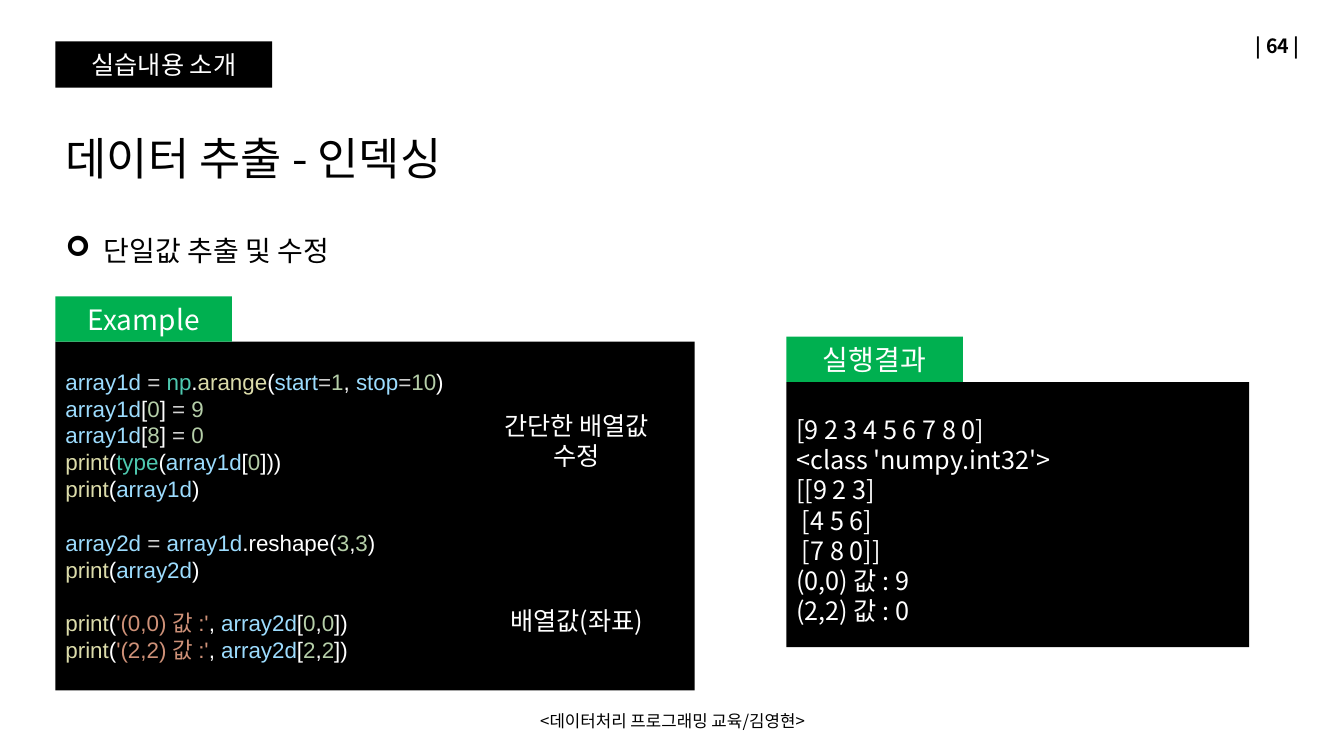
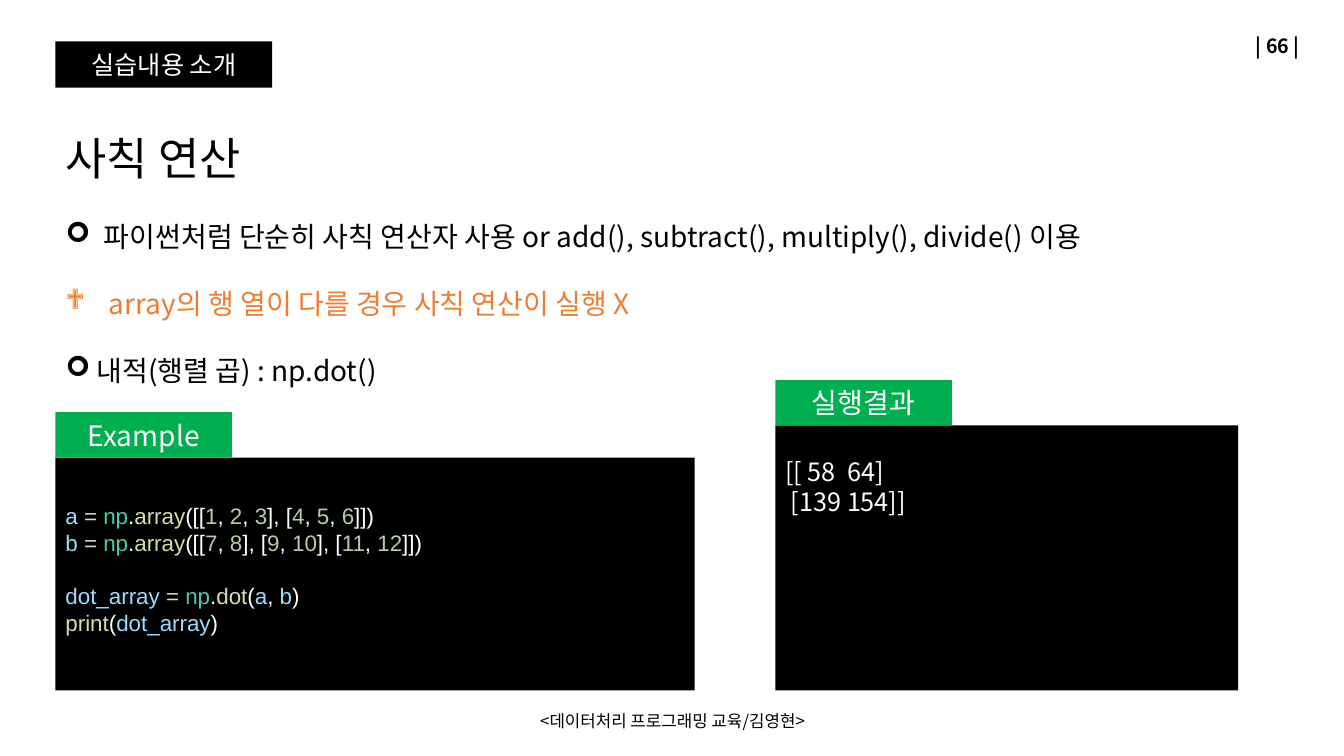
from dataclasses import dataclass
from itertools import groupby

from lxml import etree
from pptx import Presentation, util as u
from pptx.dml.color import RGBColor
from pptx.enum import shapes, text
from pptx.oxml.ns import qn


@dataclass(frozen=True)
class Theme:
    font: str = "Noto Sans CJK KR"
    code_font: str = "Arial"
    ink: str = "000000"
    paper: str = "FFFFFF"
    label: str = "00B050"
    warning: str = "ED7D31"
    variable: str = "9CDCFE"
    function: str = "DCDCAA"
    type: str = "4EC9B0"
    number: str = "B5CEA8"
    string: str = "CE9178"
    operator: str = "D4D4D4"
    title_size: int = 32
    body_size: int = 20
    tab_size: int = 18
    code_size: int = 16
    page_size: int = 14
    footer_size: int = 12


theme = Theme()
LEFT, MIDDLE, RIGHT = text.PP_ALIGN.LEFT, text.PP_ALIGN.CENTER, text.PP_ALIGN.RIGHT
TOP, CENTER, BOTTOM = text.MSO_ANCHOR.TOP, text.MSO_ANCHOR.MIDDLE, text.MSO_ANCHOR.BOTTOM

# Horizontal and vertical places are percentages of the slide's width and height.
MARGIN = 4.13
LABEL_WIDTH, LABEL_HEIGHT = 13.13, 6
CODE_WIDTH, CODE_BOTTOM = 47.56, 91.33
RESULT_WIDTH, RESULT_HEIGHT = 34.43, 35.07

token_colors = {
    **dict.fromkeys(["array1d", "array2d", "dot_array", "a", "b", "start", "stop"], theme.variable),
    **dict.fromkeys(["print", "arange", "array", "dot"], theme.function),
    **dict.fromkeys(["np", "type"], theme.type),
    "=": theme.operator,
}

lessons = [
    {
        "page": "| 64 |",
        "title": "데이터 추출 - 인덱싱",
        "points": [("➢", 0.38, "단일값 추출 및 수정", theme.ink)],
        "points_box": (MARGIN, 25.73, 64.89, 9.07),
        "code_top": 45.2,
        "code_box": (MARGIN, 48, 44.86, 40.8),
        "code": """array1d = np.arange(start=1, stop=10)
array1d[0] = 9
array1d[8] = 0
print(type(array1d[0]))
print(array1d)

array2d = array1d.reshape(3,3)
print(array2d)

print('(0,0) 값 :', array2d[0,0])
print('(2,2) 값 :', array2d[2,2])""",
        "result_at": (58.51, 50.53),
        "result_box": (58.51, 54.13, 35.33, 29.6),
        "result": """[9 2 3 4 5 6 7 8 0]
<class 'numpy.int32'>
[[9 2 3]
 [4 5 6]
 [7 8 0]]
(0,0) 값 : 9
(2,2) 값 : 0""",
        "remarks": [("간단한 배열값 수정", 53.6, 9.47), ("배열값(좌표)", 79.47, 5.33)],
    },
    {
        "page": "| 66 |",
        "title": "사칙 연산",
        "points": [
            ("➢", 0.38, "파이썬처럼 단순히 사칙 연산자 사용 or add(), subtract(), multiply(), divide() 이용",
             theme.ink),
            ("❖", 0.43, "array의 행 열이 다를 경우 사칙 연산이 실행 X", theme.warning),
            ("➢", 0.31, "내적(행렬 곱) : np.dot()", theme.ink),
        ],
        "points_box": (MARGIN, 23.87, 82.6, 27.07),
        "code_top": 60.53,
        "code_box": (MARGIN, 65.73, 44.86, 19.33),
        "code": """a = np.array([[1, 2, 3], [4, 5, 6]])
b = np.array([[7, 8], [9, 10], [11, 12]])

dot_array = np.dot(a, b)
print(dot_array)""",
        "result_at": (57.69, 56.27),
        "result_box": (57.69, 59.73, 31.73, 9.47),
        "result": """[[ 58  64]
 [139 154]]""",
        "remarks": [],
    },
]

deck = Presentation()
deck.slide_width, deck.slide_height = u.Inches(13.33), u.Inches(7.5)


def place(left, top, width, height):
    """Turn percentages of the slide into lengths."""
    return [int(share * side / 100) for share, side in
            zip((left, top, width, height), (deck.slide_width, deck.slide_height) * 2)]


def write(shape, lines, size, color, align=LEFT, anchor=TOP, leading=None, face=theme.font):
    """Fill a shape with paragraphs; a line is a string or a list of (piece, colour)."""
    frame = shape.text_frame
    frame.word_wrap, frame.auto_size = True, text.MSO_AUTO_SIZE.NONE
    frame.vertical_anchor = anchor
    for index, line in enumerate(lines):
        paragraph = frame.paragraphs[0] if index == 0 else frame.add_paragraph()
        paragraph.alignment, paragraph.space_before = align, u.Pt(0)
        if leading:
            paragraph.line_spacing = u.Pt(leading)
        for piece, tint in [(line, color)] if isinstance(line, str) else line:
            run = paragraph.add_run()
            run.text = piece
            run.font.size, run.font.name = u.Pt(size), face
            run.font.color.rgb = RGBColor.from_string(tint)
            etree.SubElement(run.font._element, qn("a:ea"), typeface=theme.font)
    return frame


for lesson in lessons:
    slide = deck.slides.add_slide(deck.slide_layouts[1])
    title, points = slide.placeholders
    result_left, result_top = lesson["result_at"]
    code_top = lesson["code_top"]

    # Page number, section tab and footer
    page = slide.shapes.add_textbox(*place(74.94, 3.33, 22.5, 5.33))
    page_frame = write(page, [lesson["page"]], theme.page_size, theme.ink, RIGHT, CENTER)
    page_frame.paragraphs[0].runs[0].font.bold = True
    footer = slide.shapes.add_textbox(*place(33.16, 92.67, 33.76, 5.33))
    write(footer, ["<데이터처리 프로그래밍 교육/김영현>"], theme.footer_size, theme.ink, MIDDLE, CENTER)

    # Title and list
    title.left, title.top, title.width, title.height = place(MARGIN, 14.93, 72.99, 9.47)
    title_frame = write(title, [lesson["title"]], theme.title_size, theme.ink,
                        anchor=BOTTOM, leading=1.2 * theme.title_size)
    title_frame.margin_bottom = 0
    points.left, points.top, points.width, points.height = place(*lesson["points_box"])
    points_frame = write(points, [[(point, tint)] for _, _, point, tint in lesson["points"]],
                         theme.body_size, theme.ink, leading=2.4 * theme.body_size)
    for paragraph, (mark, indent, _, _) in zip(points_frame.paragraphs, lesson["points"]):
        properties = paragraph._p.get_or_add_pPr()
        properties.set("marL", str(u.Inches(indent)))
        properties.set("indent", str(-u.Inches(indent)))
        etree.SubElement(properties, qn("a:buFont"), typeface="Wingdings")
        etree.SubElement(properties, qn("a:buChar"), char=mark)

    # Section tab, panels and their labels
    for box, fill, caption, size in [
        ((MARGIN, 5.47, 16.13, 6.13), theme.ink, "실습내용 소개", theme.tab_size),
        ((MARGIN, code_top, CODE_WIDTH, CODE_BOTTOM - code_top), theme.ink, None, None),
        ((result_left, result_top, RESULT_WIDTH, RESULT_HEIGHT), theme.ink, None, None),
        ((MARGIN, code_top - LABEL_HEIGHT, LABEL_WIDTH, LABEL_HEIGHT),
         theme.label, "Example", theme.body_size),
        ((result_left, result_top - LABEL_HEIGHT, LABEL_WIDTH, LABEL_HEIGHT),
         theme.label, "실행결과", theme.body_size),
    ]:
        block = slide.shapes.add_shape(shapes.MSO_SHAPE.RECTANGLE, *place(*box))
        block.shadow.inherit = False
        block.fill.solid()
        block.fill.fore_color.rgb = RGBColor.from_string(fill)
        block.line.fill.background()
        if caption:
            write(block, [caption], size, theme.paper, MIDDLE, CENTER)

    # Coloured code: quoted parts first, then words, equal signs and punctuation
    code_lines, gaps = [], []
    for line in lesson["code"].split("\n"):
        if not line:
            gaps.append(len(code_lines))
            continue
        pieces = []
        for index, part in enumerate(line.split("'")):
            if index % 2:
                pieces.append((f"'{part}'", theme.string))
                continue
            for _, chars in groupby(part, lambda c: "word" if c.isalnum() or c == "_" else c == "="):
                token = "".join(chars)
                fallback = theme.number if token.isdigit() else theme.paper
                pieces.append((token, token_colors.get(token, fallback)))
        code_lines.append(pieces)
    code_leading = 1.2 * theme.code_size
    code = slide.shapes.add_textbox(*place(*lesson["code_box"]))
    code_frame = write(code, code_lines, theme.code_size, theme.paper,
                       leading=code_leading, face=theme.code_font)
    for index in gaps:
        code_frame.paragraphs[index].space_before = u.Pt(code_leading)

    # Output and remarks
    result = slide.shapes.add_textbox(*place(*lesson["result_box"]))
    write(result, lesson["result"].split("\n"), theme.tab_size, theme.paper,
          leading=1.2 * theme.tab_size)
    for remark, top, height in lesson["remarks"]:
        note = slide.shapes.add_textbox(*place(36.46, top, 12.9, height))
        write(note, [remark], theme.tab_size, theme.paper, MIDDLE, leading=1.2 * theme.tab_size)

deck.save("out.pptx")
